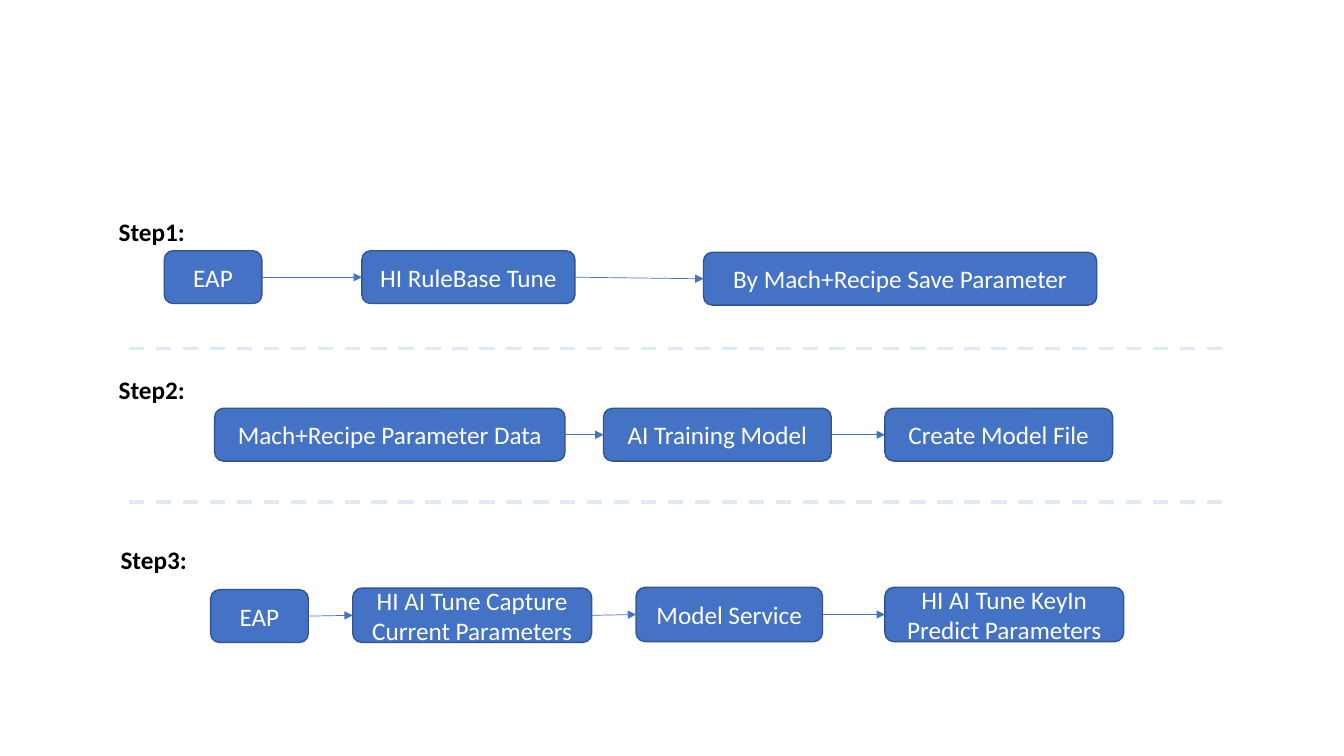
from itertools import pairwise

from lxml.etree import SubElement
from pptx import Presentation
from pptx.dml.color import RGBColor
from pptx.enum.dml import MSO_LINE_DASH_STYLE as Dash
from pptx.enum.shapes import MSO_CONNECTOR_TYPE as Connector, MSO_SHAPE as Shape
from pptx.enum.text import MSO_ANCHOR as Anchor, MSO_AUTO_SIZE as AutoSize, PP_ALIGN as Align
from pptx.oxml.ns import qn
from pptx.util import Cm, Pt

COLORS = {
    "box": "4472C4",
    "outline": "325491",
    "divider": "DEEBF7",
    "box_text": "FFFFFF",
    "label": "000000",
}
RIGHT_SIDE, LEFT_SIDE = 3, 1

STEPS = [
    ("Step1:", 2.74, 5.33, [
        ("EAP", 1.4, 0.99, 2.46, 1.33),
        ("HI RuleBase Tune", 6.38, 0.99, 5.37, 1.33),
        ("By Mach+Recipe Save Parameter", 14.99, 1.03, 9.91, 1.33),
    ]),
    ("Step2:", 2.74, 9.3, [
        ("Mach+Recipe Parameter Data", 2.67, 0.99, 8.83, 1.33),
        ("AI Training Model", 12.47, 0.99, 5.74, 1.33),
        ("Create Model File", 19.56, 0.99, 5.74, 1.33),
    ]),
    ("Step3:", 2.79, 13.59, [
        ("EAP", 2.52, 1.27, 2.46, 1.33),
        ("HI AI Tune Capture Current Parameters", 6.1, 1.23, 6.02, 1.37),
        ("Model Service", 13.24, 1.21, 4.7, 1.37),
        ("HI AI Tune KeyIn Predict Parameters", 19.51, 1.21, 6.02, 1.37),
    ]),
]
DIVIDER_TOPS = [8.78, 12.64]


def rgb(name):
    return RGBColor.from_string(COLORS[name])


def write_text(frame, text, color, bold=False):
    frame.word_wrap = True
    paragraph = frame.paragraphs[0]
    paragraph.text = text
    paragraph.font.name = "Calibri"
    paragraph.font.size = Pt(18)
    paragraph.font.bold = bold
    paragraph.font.color.rgb = rgb(color)
    return paragraph


def add_line(slide, start, end, color, width):
    line = slide.shapes.add_connector(Connector.STRAIGHT, *start, *end)
    line.line.color.rgb = rgb(color)
    line.line.width = Pt(width)
    SubElement(line._element.spPr, qn("a:effectLst"))
    return line


def add_stage(slide, text, left, top, width, height):
    stage = slide.shapes.add_shape(Shape.ROUNDED_RECTANGLE, left, top, width, height)
    stage.shadow.inherit = False
    stage.fill.solid()
    stage.fill.fore_color.rgb = rgb("box")
    stage.line.color.rgb = rgb("outline")
    stage.line.width = Pt(1)
    stage.text_frame.vertical_anchor = Anchor.MIDDLE
    write_text(stage.text_frame, text, "box_text").alignment = Align.CENTER
    return stage


def add_arrow(slide, source, target):
    arrow = add_line(slide, (0, 0), (0, 0), "box", 0.5)
    arrow.begin_connect(source, RIGHT_SIDE)
    arrow.end_connect(target, LEFT_SIDE)
    SubElement(arrow.line._get_or_add_ln(), qn("a:tailEnd"), type="triangle")


def add_step(slide, label, left, top, stages):
    heading = slide.shapes.add_textbox(left, top, Cm(2.67), Cm(1.02))
    heading.text_frame.auto_size = AutoSize.SHAPE_TO_FIT_TEXT
    write_text(heading.text_frame, label, "label", bold=True)
    boxes = [
        add_stage(slide, text, left + Cm(dx), top + Cm(dy), Cm(width), Cm(height))
        for text, dx, dy, width, height in stages
    ]
    for source, target in pairwise(boxes):
        add_arrow(slide, source, target)


def add_divider(slide, left, top, width):
    divider = add_line(slide, (left, top), (left + width, top), "divider", 2.75)
    divider.line.dash_style = Dash.DASH


def main():
    deck = Presentation()
    deck.slide_width, deck.slide_height = Cm(33.87), Cm(19.05)
    slide = deck.slides.add_slide(deck.slide_layouts[6])
    for label, left, top, stages in STEPS:
        add_step(slide, label, Cm(left), Cm(top), stages)
    for top in DIVIDER_TOPS:
        add_divider(slide, Cm(3.25), Cm(top), Cm(27.69))
    deck.save("out.pptx")


if __name__ == "__main__":
    main()
